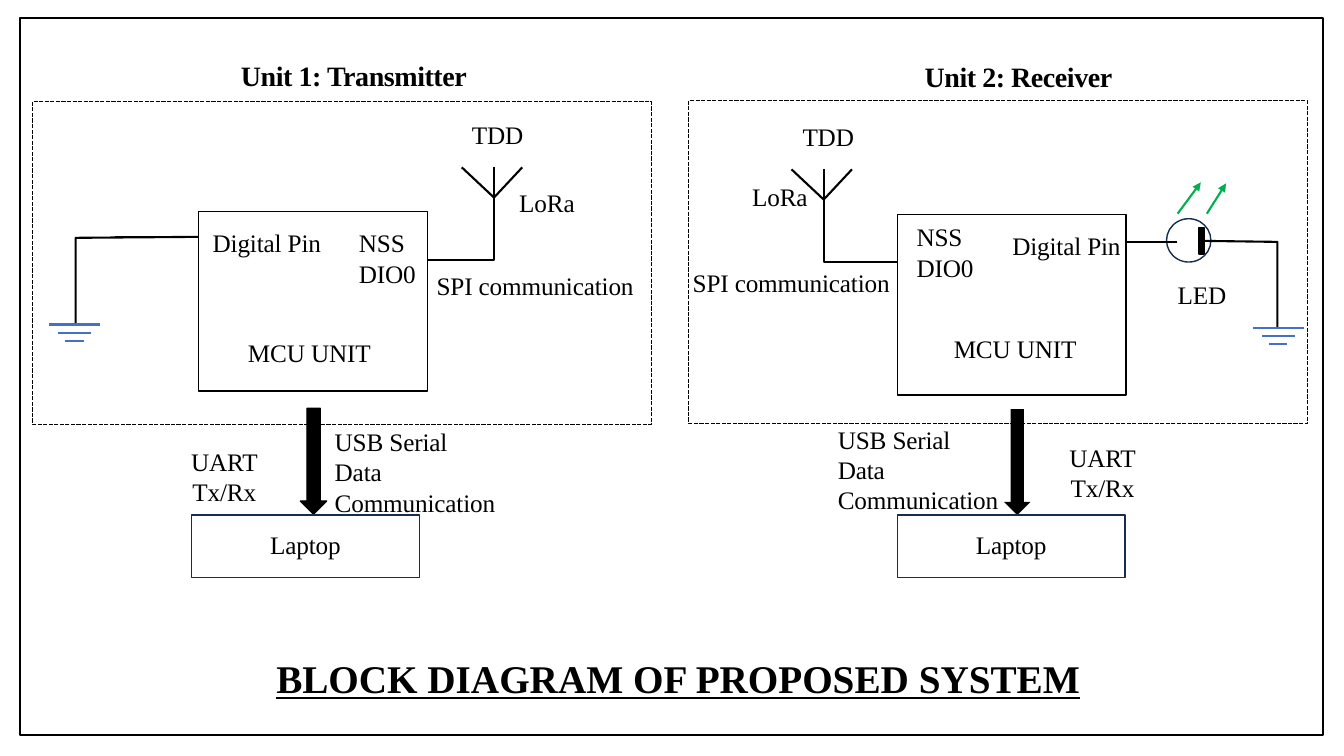
from lxml import etree
from pptx import Presentation
from pptx.dml.color import RGBColor
from pptx.enum.dml import MSO_LINE
from pptx.enum.shapes import MSO_CONNECTOR, MSO_SHAPE
from pptx.enum.text import MSO_ANCHOR, MSO_AUTO_SIZE, PP_ALIGN
from pptx.oxml.ns import qn
from pptx.util import Pt

PX = 9144  # 100 px to the inch
THEME = {
    "font": "Times New Roman",
    "black": RGBColor(0x00, 0x00, 0x00),
    "navy": RGBColor(0x17, 0x2C, 0x51),
    "blue": RGBColor(0x44, 0x71, 0xC4),
    "green": RGBColor(0x00, 0xAF, 0x50),
    "label": 18,
    "heading": 20,
    "title": 28,
}


def write(tf, text, size="label", bold=False, underline=False,
          align=PP_ALIGN.LEFT, anchor=MSO_ANCHOR.TOP, top=1, bottom=0, spc=-10):
    """Fill a text frame, one paragraph per line; spc is in 1/100 pt."""
    tf.word_wrap = True
    tf.auto_size = MSO_AUTO_SIZE.NONE
    tf.vertical_anchor = anchor
    tf.margin_left = tf.margin_right = 0
    tf.margin_top, tf.margin_bottom = top * PX, bottom * PX
    for i, words in enumerate(text.split("\n")):
        p = tf.paragraphs[0] if i == 0 else tf.add_paragraph()
        p.alignment = align
        r = p.add_run()
        r.text = words
        r.font.name = THEME["font"]
        r.font.size = Pt(THEME[size])
        r.font.bold = bold
        r.font.underline = underline
        r.font.color.rgb = THEME["black"]
        r.font._element.set("spc", str(spc))


def draw(strokes, color="black"):
    """Draw several open polylines as one unfilled shape."""
    fb = s.shapes.build_freeform(*strokes[0][0], scale=PX)
    for i, points in enumerate(strokes):
        if i:
            fb.move_to(*points[0])
        fb.add_line_segments(points[1:], close=False)
    sp = fb.convert_to_shape()
    sp.shadow.inherit = False
    sp.fill.background()
    sp.line.color.rgb = THEME[color]
    sp.line.width = Pt(1.5)


prs = Presentation()
prs.slide_width, prs.slide_height = 1333 * PX, 750 * PX
s = prs.slides.add_slide(prs.slide_layouts[5])

title = s.shapes.title
title.left, title.top, title.width, title.height = 274 * PX, 647 * PX, 828 * PX, 48 * PX
write(title.text_frame, "BLOCK DIAGRAM OF PROPOSED SYSTEM",
      size="title", bold=True, underline=True, top=2, spc=0)

# Boxes: shape, left, top, width, height, fill, line, line width, dashed, text
RECT, OVAL, DOWN = MSO_SHAPE.RECTANGLE, MSO_SHAPE.OVAL, MSO_SHAPE.DOWN_ARROW
boxes = [
    (RECT, 20, 18, 1292, 711, None, "black", 1.5, False, ""),
    (RECT, 32, 101, 614, 320, None, "black", 1, True, ""),
    (RECT, 683, 100, 614, 320, None, "black", 1, True, ""),
    (RECT, 197, 210, 227, 178, None, "black", 1, False, ""),
    (RECT, 890, 213, 227, 179, None, "black", 1, False, ""),
    (DOWN, 298, 405, 26, 105, "black", "black", 1, False, ""),
    (DOWN, 996, 406, 26, 105, "black", None, 0, False, ""),
    (RECT, 190, 511, 226, 62, None, "navy", 1, False, "Laptop"),
    (RECT, 890, 511, 226, 62, None, "navy", 1, False, "Laptop"),
    (OVAL, 1157, 217, 44, 43, None, "navy", 1, False, ""),
    (RECT, 1189, 226, 5, 26, "black", "black", 1, False, ""),
]
for kind, x, y, w, h, fill, outline, width, dashed, text in boxes:
    sp = s.shapes.add_shape(kind, x * PX, y * PX, w * PX, h * PX)
    sp.shadow.inherit = False
    if fill:
        sp.fill.solid()
        sp.fill.fore_color.rgb = THEME[fill]
    else:
        sp.fill.background()
    if outline:
        sp.line.color.rgb = THEME[outline]
        sp.line.width = Pt(width)
    else:
        sp.line.fill.background()
    if dashed:
        sp.line.dash_style = MSO_LINE.SQUARE_DOT
    if text:
        write(sp.text_frame, text, align=PP_ALIGN.CENTER,
              anchor=MSO_ANCHOR.MIDDLE, top=0, bottom=3)

# Antennas: mast x, foot y, x of the board side it feeds
for mast, foot, side in [(490, 258, 424), (817, 260, 890)]:
    tip = foot - 92
    draw([
        [(side, foot), (mast, foot), (mast, tip)],
        [(mast - 32, tip), (mast, tip + 30), (mast + 28, tip)],
    ])

# Ground wires: start x, wire y, corner x, ground y, ground centre x
for start, y, corner, ground, centre in [(197, 235, 75, 322, 74), (1194, 239, 1267, 325, 1268)]:
    draw([[(start, y), (corner, y + 1), (corner, ground)]])
    bars = [(ground + 8 * i, half) for i, half in enumerate((25, 16, 9))]
    draw([[(centre - half, bar), (centre + half, bar)] for bar, half in bars], "blue")

# Straight lines: from x, y, to x, y, colour, arrowhead
lines = [
    (1117, 240, 1167, 240, "black", False),
    (114, 235, 157, 235, "black", False),
    (1168, 212, 1191, 181, "green", True),
    (1197, 212, 1216, 182, "green", True),
]
for x1, y1, x2, y2, color, arrow in lines:
    c = s.shapes.add_connector(MSO_CONNECTOR.STRAIGHT, x1 * PX, y1 * PX, x2 * PX, y2 * PX)
    c.line.color.rgb = THEME[color]
    c.line.width = Pt(1.5)
    if arrow:
        etree.SubElement(c.line._get_or_add_ln(), qn("a:tailEnd"), type="triangle")
    etree.SubElement(c._element.spPr, qn("a:effectLst"))

# Labels: text, width, height, then the left and top in each unit
labels = [
    ("TDD", 56, 33, [(468, 117), (796, 119)]),
    ("LoRa", 60, 33, [(515, 185), (746, 179)]),
    ("SPI communication", 202, 33, [(433, 267), (687, 264)]),
    ("Digital Pin", 114, 33, [(211, 225), (1004, 228)]),
    ("NSS\nDIO0", 62, 63, [(356, 225), (909, 219)]),
    ("MCU UNIT", 124, 33, [(246, 334), (946, 330)]),
    ("USB Serial\nData\nCommunication", 166, 93, [(332, 422), (831, 420)]),
    ("LED", 54, 33, [(1168, 276)]),
]
for text, w, h, places in labels:
    for x, y in places:
        write(s.shapes.add_textbox(x * PX, y * PX, w * PX, h * PX).text_frame, text)

for x, y in [(188, 442), (1059, 438)]:
    tb = s.shapes.add_textbox(x * PX, y * PX, 69 * PX, 63 * PX)
    write(tb.text_frame, "UART\nTx/Rx", align=PP_ALIGN.CENTER)

for text, x, y, w in [("Unit 1: Transmitter", 239, 57, 240), ("Unit 2: Receiver", 917, 58, 212)]:
    tb = s.shapes.add_textbox(x * PX, y * PX, w * PX, 35 * PX)
    write(tb.text_frame, text, size="heading", bold=True, spc=-35)

prs.save("out.pptx")
